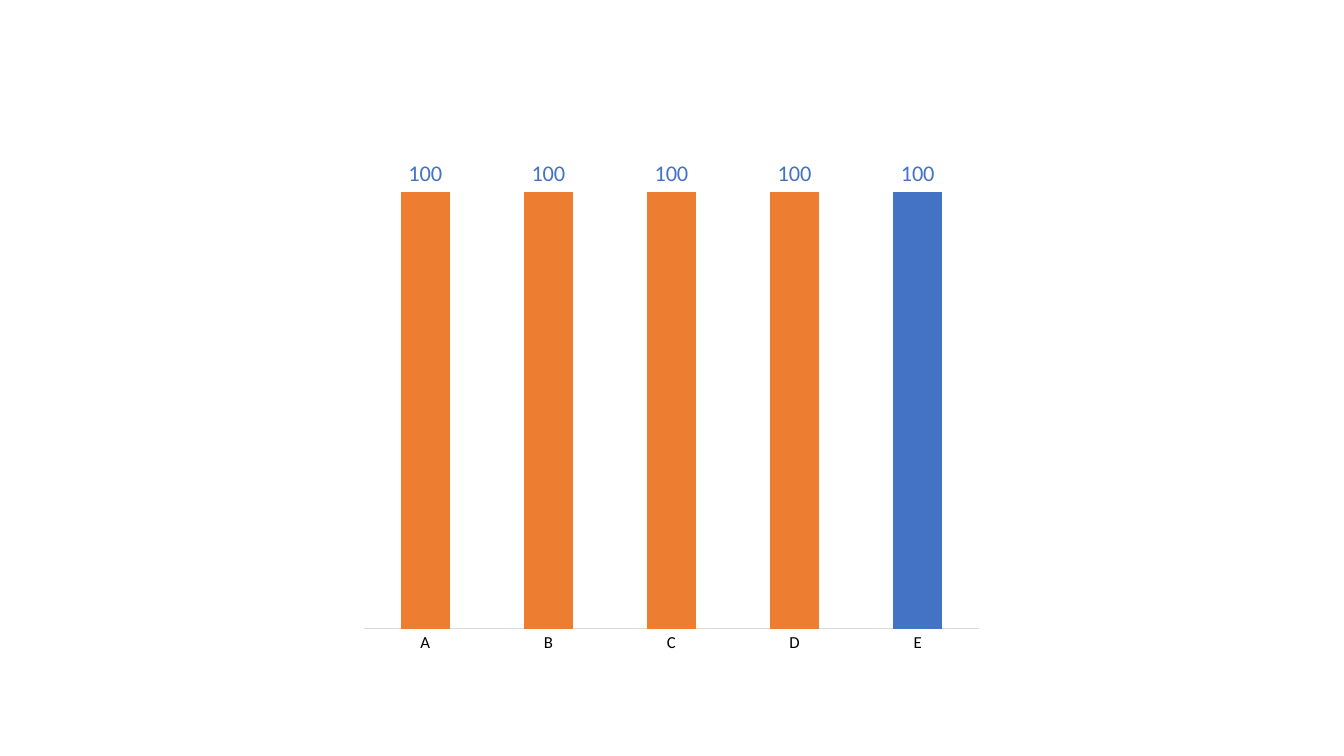
from lxml import etree
from pptx import Presentation
from pptx.chart.data import CategoryChartData
from pptx.dml.color import RGBColor
from pptx.enum.chart import XL_CHART_TYPE, XL_LABEL_POSITION, XL_TICK_MARK
from pptx.oxml.ns import qn
from pptx.util import Inches, Pt

BLUE, ORANGE, GREY, BLACK = "4472C4", "ED7D31", "D9D9D9", "000000"
PLOT_SHARES = {"x": 0.02, "y": 0.02, "w": 0.96, "h": 0.92}


def rgb(value):
    """Turn a hex string into a colour."""
    return RGBColor.from_string(value)


def style_font(font, size, color):
    """Set typeface, size and colour of a font."""
    font.name, font.size = "Calibri", Pt(size)
    font.color.rgb = rgb(color)


def paint(fill, color):
    """Give a fill one solid colour."""
    fill.solid()
    fill.fore_color.rgb = rgb(color)


def place_plot(chart, shares):
    """Fix the inner plot area at shares of the chart's size."""
    plot_area = chart._chartSpace.chart.plotArea
    for old in plot_area.findall(qn("c:layout")):
        plot_area.remove(old)
    layout = etree.Element(qn("c:layout"))
    manual = etree.SubElement(layout, qn("c:manualLayout"))
    settings = {"layoutTarget": "inner", "xMode": "edge", "yMode": "edge", **shares}
    for name, value in settings.items():
        etree.SubElement(manual, qn(f"c:{name}")).set("val", str(value))
    plot_area.insert(0, layout)


def style_axes(chart):
    """Show a plain category axis and hide the value axis."""
    values, categories = chart.value_axis, chart.category_axis
    values.visible = False
    values.has_major_gridlines = False
    values.minimum_scale, values.maximum_scale = 0, 120
    categories.major_tick_mark = categories.minor_tick_mark = XL_TICK_MARK.NONE
    categories.format.line.color.rgb = rgb(GREY)
    categories.format.line.width = Pt(0.75)
    style_font(categories.tick_labels.font, 12, BLACK)


def add_column_chart(slide, left, top, width, height):
    """Draw the labelled columns, with the last one set apart by colour."""
    data = CategoryChartData()
    data.categories = list("ABCDE")
    data.add_series("Series 1", [100] * 5)
    chart = slide.shapes.add_chart(
        XL_CHART_TYPE.COLUMN_CLUSTERED, left, top, width, height, data
    ).chart
    chart.has_legend = chart.has_title = False
    style_font(chart.font, 10, BLACK)
    style_axes(chart)
    place_plot(chart, PLOT_SHARES)

    plot = chart.plots[0]
    plot.gap_width, plot.overlap, plot.vary_by_categories = 150, -25, False
    series = plot.series[0]
    paint(series.format.fill, BLUE)
    for index in range(4):
        paint(series.points[index].format.fill, ORANGE)

    labels = series.data_labels
    labels.show_value = True
    labels.position = XL_LABEL_POSITION.OUTSIDE_END
    style_font(labels.font, 16, BLUE)


deck = Presentation()
deck.slide_width, deck.slide_height = Inches(13.33), Inches(7.5)
slide = deck.slides.add_slide(deck.slide_layouts[6])
add_column_chart(slide, Inches(3.48), Inches(0.92), Inches(6.36), Inches(5.66))
deck.save("out.pptx")
